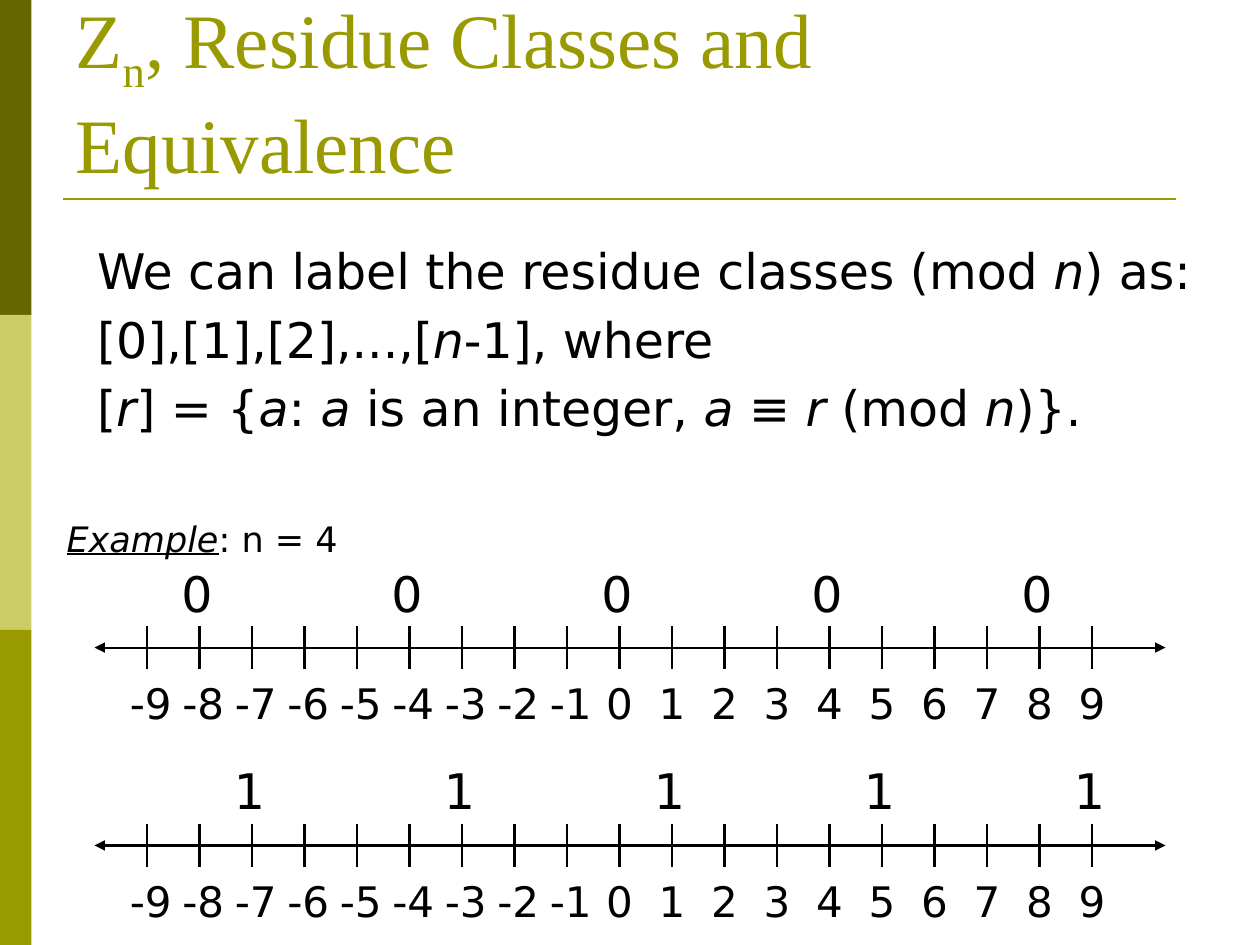
from lxml import etree
from pptx import Presentation
from pptx.dml.color import RGBColor
from pptx.enum.shapes import MSO_CONNECTOR, MSO_SHAPE
from pptx.enum.text import MSO_ANCHOR, MSO_AUTO_SIZE, PP_ALIGN
from pptx.oxml.ns import qn
from pptx.util import Inches, Pt

RECT = MSO_SHAPE.RECTANGLE
STRAIGHT = MSO_CONNECTOR.STRAIGHT
LEFT, CENTER = PP_ALIGN.LEFT, PP_ALIGN.CENTER
BOTTOM = MSO_ANCHOR.BOTTOM
NO_FIT = MSO_AUTO_SIZE.NONE

WIDTH, HEIGHT = 10, 7.5
DARK, LIGHT, OLIVE, BLACK = "666600", "CCCC66", "999900", "000000"
SANS, SERIF = "DejaVu Sans", "Times New Roman"
ITALIC = {"italic": True}


def color(value):
    return RGBColor.from_string(value)


def place(sp, box):
    sp.left, sp.top, sp.width, sp.height = (Inches(v) for v in box)


def write(tf, *lines, size=24, font=SANS, fill=BLACK, align=LEFT, before=20,
          marked=ITALIC, baseline=None):
    """Write one paragraph per line; parts between asterisks get the marked format."""
    for n, line in enumerate(lines):
        p = tf.add_paragraph() if n else tf.paragraphs[0]
        p.alignment = align
        pPr = p._p.get_or_add_pPr()
        space = etree.SubElement(pPr, qn("a:spcBef"))
        etree.SubElement(space, qn("a:spcPct")).set("val", str(before * 1000))
        for k, part in enumerate(line.split("*")):
            if not part:
                continue
            r = p.add_run()
            r.text = part
            r.font.size, r.font.name = Pt(size), font
            r.font.color.rgb = color(fill)
            if k % 2:
                for name, value in marked.items():
                    setattr(r.font, name, value)
                if baseline:
                    r._r.get_or_add_rPr().set("baseline", str(baseline * 1000))


def add_label(slide, box, text, **fmt):
    sp = slide.shapes.add_textbox(*(Inches(v) for v in box))
    sp.text_frame.word_wrap = False
    write(sp.text_frame, text, **fmt)


def add_line(slide, x1, y1, x2, y2, fill=BLACK, width=1.25, arrows=False):
    line = slide.shapes.add_connector(STRAIGHT, *(Inches(v) for v in (x1, y1, x2, y2)))
    line.line.color.rgb = color(fill)
    line.line.width = Pt(width)
    if arrows:
        ln = line.line._get_or_add_ln()
        for end in ("a:headEnd", "a:tailEnd"):
            etree.SubElement(ln, qn(end)).set("type", "triangle")
    etree.SubElement(line._element.spPr, qn("a:effectLst"))


def add_side_bar(slide, left, top, width, height):
    fills = (DARK, LIGHT, OLIVE)
    step = height / len(fills)
    for i, fill in enumerate(fills):
        box = (left, top + i * step, width, step)
        sp = slide.shapes.add_shape(RECT, *(Inches(v) for v in box))
        sp.shadow.inherit = False
        sp.fill.solid()
        sp.fill.fore_color.rgb = color(fill)
        sp.line.fill.background()


def fill_title(slide, box):
    sp = slide.shapes.title
    place(sp, box)
    tf = sp.text_frame
    tf.auto_size, tf.vertical_anchor = NO_FIT, BOTTOM
    write(tf, "Z*n*, Residue Classes and Equivalence", size=44, font=SERIF,
          fill=OLIVE, before=0, marked={}, baseline=-25)


def fill_body(slide, box):
    sp = slide.placeholders[1]
    place(sp, box)
    tf = sp.text_frame
    tf.auto_size = NO_FIT
    write(tf,
          "We can label the residue classes (mod *n*) as:",
          "[0],[1],[2],...,[*n*-1], where",
          "[*r*] = {*a*: *a* is an integer, *a* ≡ *r* (mod *n*)}.",
          size=28)
    for p in tf.paragraphs:
        pPr = p._p.get_or_add_pPr()
        pPr.set("marL", str(Inches(0.38)))
        pPr.set("indent", str(Inches(-0.38)))
        etree.SubElement(pPr, qn("a:buNone"))


def add_number_line(slide, left, top, width, residue, modulus=4, limit=9):
    """Draw an axis from -limit to limit, with the residue over each member of its class."""
    step = 5 / 12
    middle = left + width / 2 - step / 5
    axis = top + 0.72
    add_line(slide, left, axis, left + width, axis, arrows=True)
    for n in range(-limit, limit + 1):
        x = middle + n * step
        add_line(slide, x, axis - 0.17, x, axis + 0.17)
        w, shift = (0.57, 0.03) if n < 0 else (0.42, 0)
        add_label(slide, (x - w / 2 + shift, axis + 0.19, w, 0.5), str(n), align=CENTER)
        if n % modulus == residue:
            add_label(slide, (x - 0.245, top, 0.45, 0.57), str(residue),
                      size=28, align=CENTER)


def main():
    prs = Presentation()
    prs.slide_width, prs.slide_height = Inches(WIDTH), Inches(HEIGHT)
    slide = prs.slides.add_slide(prs.slide_layouts[1])
    add_side_bar(slide, 0, 0, WIDTH / 40, HEIGHT)
    add_line(slide, 0.5, 1.58, 9.33, 1.58, fill=OLIVE, width=1.5)
    fill_title(slide, (0.5, 0.3, 9, 1.25))
    fill_body(slide, (0.67, 1.86, 9.08, 2.31))
    add_label(slide, (0.43, 4.06, 2.41, 0.44), "*Example*: n = 4", size=20,
              marked={"italic": True, "underline": True})
    for residue, top in enumerate((4.42, 5.99)):
        add_number_line(slide, 0.75, top, 8.5, residue)
    prs.save("out.pptx")


if __name__ == "__main__":
    main()
